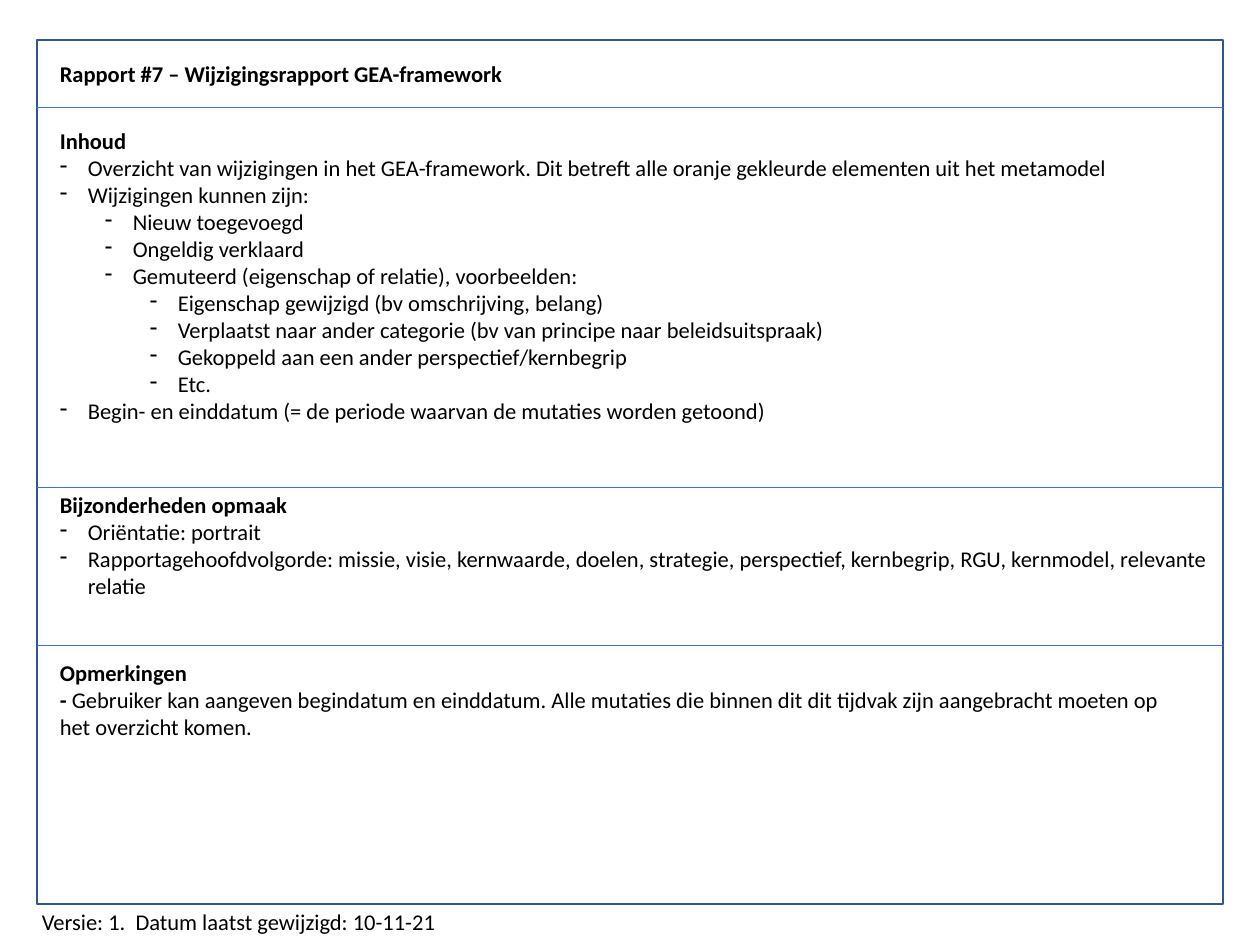
from lxml import etree
from pptx import Presentation, util as u
from pptx.dml.color import RGBColor
from pptx.enum import shapes, text
from pptx.oxml.ns import qn

PX = u.Inches(1) // 90
BLACK = RGBColor(0x00, 0x00, 0x00)
FRAME_BLUE = RGBColor(0x32, 0x54, 0x91)
RULE_BLUE = RGBColor(0x44, 0x72, 0xC4)
FONT = "Calibri"
HANG = 28
LEVEL_STEP = 45

# Bulleted lines as (level, wording)
CONTENTS = [
    (0, "Overzicht van wijzigingen in het GEA-framework. Dit betreft alle "
        "oranje gekleurde elementen uit het metamodel"),
    (0, "Wijzigingen kunnen zijn:"),
    (1, "Nieuw toegevoegd"),
    (1, "Ongeldig verklaard"),
    (1, "Gemuteerd (eigenschap of relatie), voorbeelden:"),
    (2, "Eigenschap gewijzigd (bv omschrijving, belang)"),
    (2, "Verplaatst naar ander categorie (bv van principe naar beleidsuitspraak)"),
    (2, "Gekoppeld aan een ander perspectief/kernbegrip"),
    (2, "Etc."),
    (0, "Begin- en einddatum (= de periode waarvan de mutaties worden getoond)"),
]
LAYOUT_NOTES = [
    (0, "Oriëntatie: portrait"),
    (0, "Rapportagehoofdvolgorde: missie, visie, kernwaarde, doelen, strategie, "
        "perspectief, kernbegrip, RGU, kernmodel, relevante relatie"),
]
REMARK = ("Gebruiker kan aangeven begindatum en einddatum. Alle mutaties die "
          "binnen dit dit tijdvak zijn aangebracht moeten op het overzicht komen.")


def px(*lengths):
    return [n * PX for n in lengths]


def add_run(p, wording, bold=False, size=18, color=BLACK):
    r = p.add_run()
    r.text = wording
    r.font.name = FONT
    r.font.size = u.Pt(size)
    r.font.bold = bold
    r.font.color.rgb = color


def add_text_box(s, box, wording, bold=False, wrap=False):
    """Add a text box with its first paragraph and return its text frame."""
    tf = s.shapes.add_textbox(*px(*box)).text_frame
    tf.word_wrap = wrap
    tf.auto_size = text.MSO_AUTO_SIZE.SHAPE_TO_FIT_TEXT
    add_run(tf.paragraphs[0], wording, bold=bold)
    return tf


def add_bullet(tf, level, wording):
    p = tf.add_paragraph()
    p.level = level
    pPr = p._p.get_or_add_pPr()
    pPr.set("marL", str((HANG + level * LEVEL_STEP) * PX))
    pPr.set("indent", str(-HANG * PX))
    etree.SubElement(pPr, qn("a:buFontTx"))
    etree.SubElement(pPr, qn("a:buChar")).set("char", "-")
    add_run(p, wording)


def add_frame(s, box, rules):
    """Draw the outline, with full-width rules at offsets from its top."""
    left, top, width, _ = box
    frame = s.shapes.add_shape(shapes.MSO_SHAPE.RECTANGLE, *px(*box))
    frame.shadow.inherit = False
    frame.fill.background()
    frame.line.color.rgb = FRAME_BLUE
    frame.line.width = u.Pt(1)
    for offset in rules:
        y = top + offset
        rule = s.shapes.add_connector(shapes.MSO_CONNECTOR.STRAIGHT,
                                      *px(left, y, left + width, y))
        rule.line.color.rgb = RULE_BLUE
        rule.line.width = u.Pt(0.5)
        etree.SubElement(rule._element.spPr, qn("a:effectLst"))


def add_list_section(s, box, heading, bullets, wrap=False):
    tf = add_text_box(s, box, heading, bold=True, wrap=wrap)
    for level, wording in bullets:
        add_bullet(tf, level, wording)


def add_remarks(s, box):
    tf = add_text_box(s, box, "Opmerkingen", bold=True, wrap=True)
    p = tf.add_paragraph()
    add_run(p, "- ", bold=True)
    add_run(p, REMARK)


def add_report(s, box):
    left, top, width, height = box
    x = left + 14
    add_frame(s, box, rules=(67, 447, 605))
    add_text_box(s, (x, top + 16, 464, 36),
                 "Rapport #7 – Wijzigingsrapport GEA-framework", bold=True)
    add_list_section(s, (x, top + 83, 1078, 337), "Inhoud", CONTENTS)
    add_list_section(s, (x, top + 447, width - 14, 118),
                     "Bijzonderheden opmaak", LAYOUT_NOTES, wrap=True)
    add_remarks(s, (x, top + 615, 1132, 146))
    add_text_box(s, (left - 4, top + height, 416, 36),
                 "Versie: 1.  Datum laatst gewijzigd: 10-11-21")


def main():
    prs = Presentation()
    prs.slide_width, prs.slide_height = px(1260, 945)
    s = prs.slides.add_slide(prs.slide_layouts[6])
    add_report(s, (37, 40, 1186, 864))
    prs.save("out.pptx")


if __name__ == "__main__":
    main()
